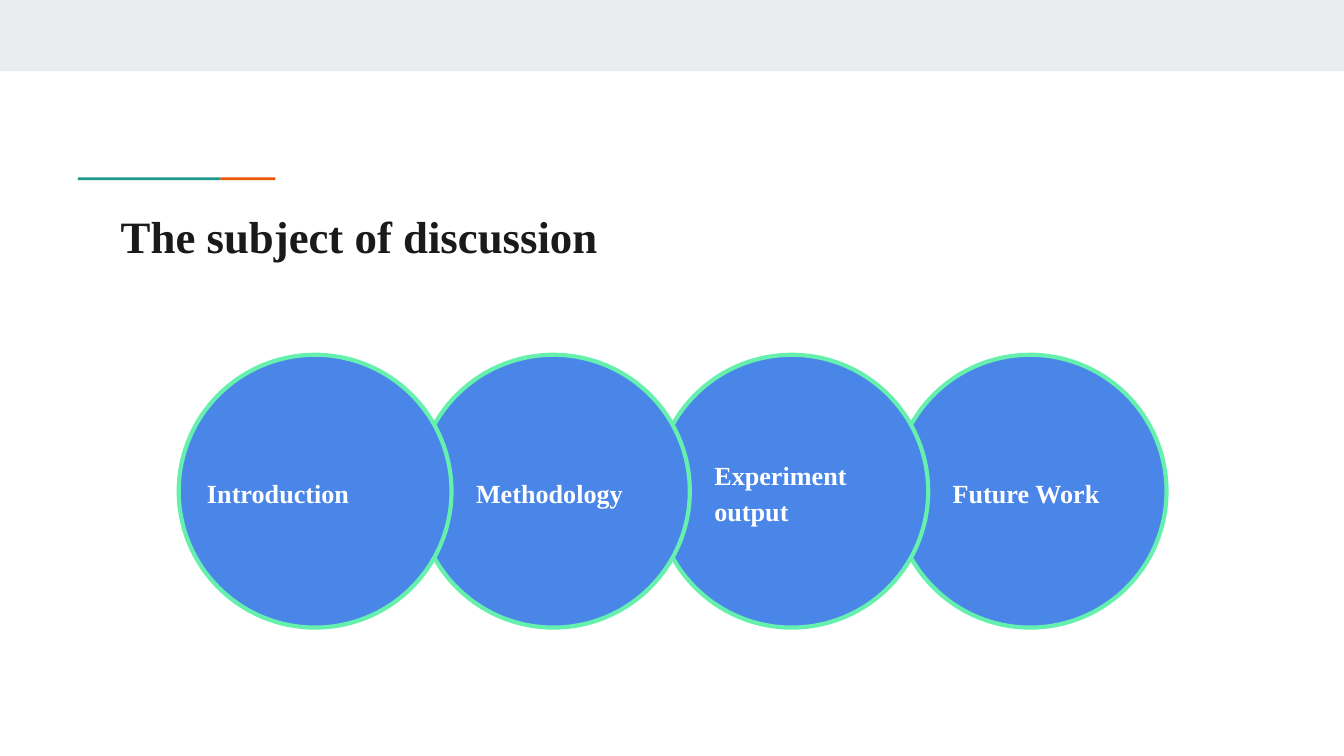
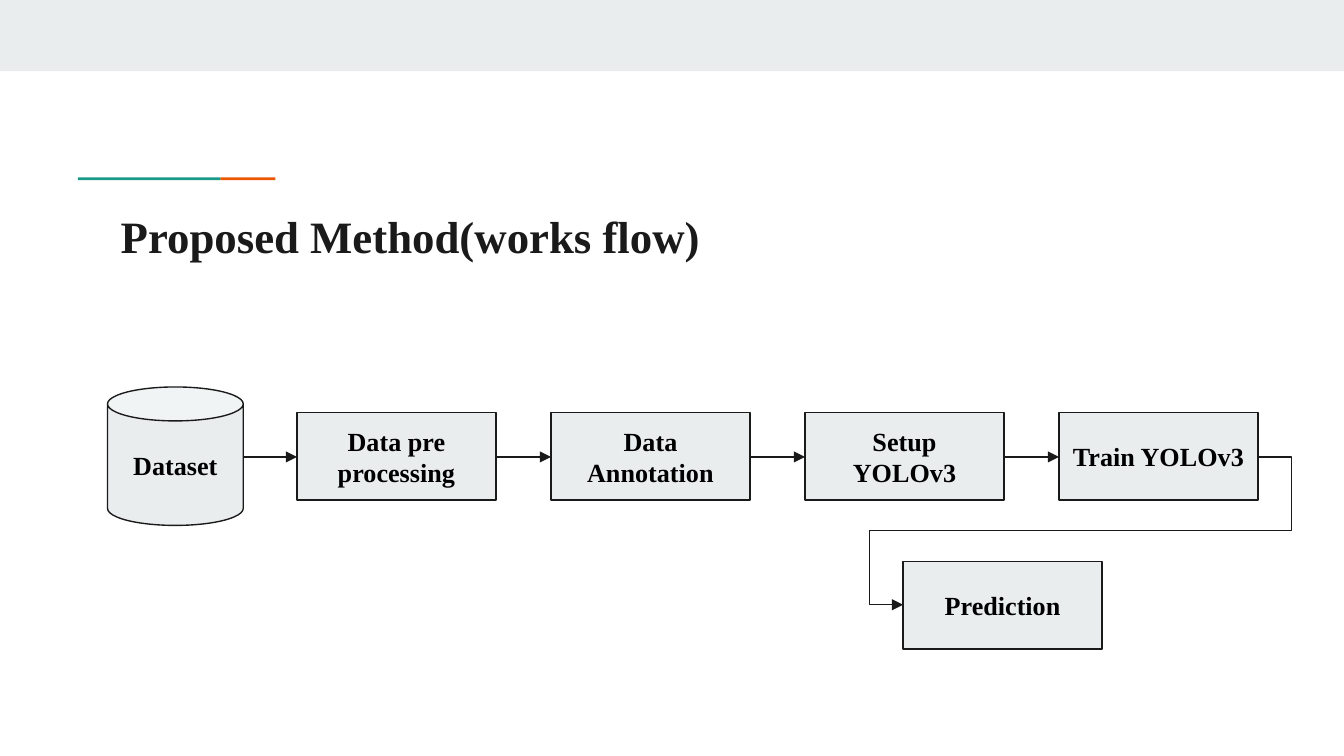
from pptx import Presentation
from pptx.dml.color import RGBColor
from pptx.enum import shapes, text
from pptx.oxml import parse_xml
from pptx.oxml.ns import nsdecls, qn
from pptx.util import Inches, Pt

FONT = "Times New Roman"
PALE, INK, BLACK, WHITE = "E9EDEE", "1A1A1A", "000000", "FFFFFF"
TEAL, ORANGE, BLUE, MINT = "1A9988", "EB5600", "4A86E8", "65F0AD"
KIND = shapes.MSO_SHAPE
LEFT, MID = text.PP_ALIGN.LEFT, text.PP_ALIGN.CENTER


def paint(target, color):
    target.solid()
    target.fore_color.rgb = RGBColor.from_string(color)


def shape(slide, kind, box, fill, line=None, width=0.75):
    item = slide.shapes.add_shape(kind, *map(Inches, box))
    item.shadow.inherit = False
    paint(item.fill, fill)
    if line:
        paint(item.line.fill, line)
        item.line.width = Pt(width)
    else:
        item.line.fill.background()
    return item


def write(item, words, size, color, align=LEFT, space=1.0,
          anchor=text.MSO_ANCHOR.MIDDLE, right=0.1):
    frame = item.text_frame
    frame.word_wrap = True
    frame.vertical_anchor = anchor
    frame.margin_left = frame.margin_top = frame.margin_bottom = Inches(0.1)
    frame.margin_right = Inches(right)
    para = frame.paragraphs[0]
    para.text = words
    para.alignment = align
    para.line_spacing = space
    para.font.name = FONT
    para.font.size = Pt(size)
    para.font.bold = True
    para.font.color.rgb = RGBColor.from_string(color)


def arrow(slide, start, end, bends=()):
    kind = shapes.MSO_CONNECTOR.ELBOW if bends else shapes.MSO_CONNECTOR.STRAIGHT
    link = slide.shapes.add_connector(kind, *map(Inches, start + end))
    paint(link.line.fill, INK)
    link.line.width = Pt(0.75)
    props = link._element.spPr
    props.find(qn("a:ln")).append(
        parse_xml(f'<a:tailEnd {nsdecls("a")} type="triangle"/>'))
    props.append(parse_xml(f'<a:effectLst {nsdecls("a")}/>'))
    if bends:
        guides = "".join(f'<a:gd name="adj{n}" fmla="val {round(bend * 100000)}"/>'
                         for n, bend in enumerate(bends, 1))
        old = props.find(qn("a:prstGeom"))
        props.replace(old, parse_xml(
            f'<a:prstGeom {nsdecls("a")} prst="bentConnector{len(bends) + 2}">'
            f'<a:avLst>{guides}</a:avLst></a:prstGeom>'))


def page(deck, title):
    slide = deck.slides.add_slide(deck.slide_layouts[6])
    shape(slide, KIND.RECTANGLE, (0, 0, 10, 0.53), PALE)
    shape(slide, KIND.RECTANGLE, (1.64, 1.32, 0.41, 0.02), ORANGE)
    shape(slide, KIND.RECTANGLE, (0.58, 1.32, 1.06, 0.02), TEAL)
    head = slide.shapes.add_textbox(*map(Inches, (0.8, 1.45, 8.41, 0.59)))
    write(head, title, 24, INK, anchor=text.MSO_ANCHOR.TOP)
    return slide


def topics(slide):
    names = ["Introduction", "Methodology", "Experiment output", "Future Work"]
    first, last, size = 1.33, 6.65, 2.03
    step = (last - first) / (len(names) - 1)
    for n, name in reversed(list(enumerate(names))):
        left = first + n * step
        shape(slide, KIND.OVAL, (left, 2.64, size, size), BLUE, MINT, 2.25)
        inset, align, right = (0.34, LEFT, 0.1) if n else (0.07, MID, 0.17)
        label = shape(slide, KIND.RECTANGLE, (left + inset, 3.37, 1.41, 0.57), BLUE)
        write(label, name, 14, WHITE, align, 1.15, right=right)


def node(slide, words, box, kind=KIND.RECTANGLE):
    write(shape(slide, kind, box, PALE, INK), words, 14, BLACK, MID)


def flow(slide):
    steps = ["Data pre processing", "Data Annotation", "Setup YOLOv3", "Train YOLOv3"]
    wide, high, row = 1.48, 0.65, 3.4
    node(slide, "Dataset", (0.8, 2.88, 1.01, 1.03), KIND.CAN)
    edge = 1.81
    for n, words in enumerate(steps):
        left = 2.21 + n * 1.89
        node(slide, words, (left, 3.07, wide, high))
        arrow(slide, (edge, row), (left, row))
        edge = left + wide
    node(slide, "Prediction", (6.72, 4.18, wide, high))
    arrow(slide, (edge, row), (6.72, 4.5), (-0.095, 0.5, 1.095))


def main():
    deck = Presentation()
    deck.slide_width = Inches(10)
    deck.slide_height = deck.slide_width * 9 // 16
    topics(page(deck, "The subject of discussion"))
    flow(page(deck, "Proposed Method(works flow)"))
    deck.save("out.pptx")


if __name__ == "__main__":
    main()
